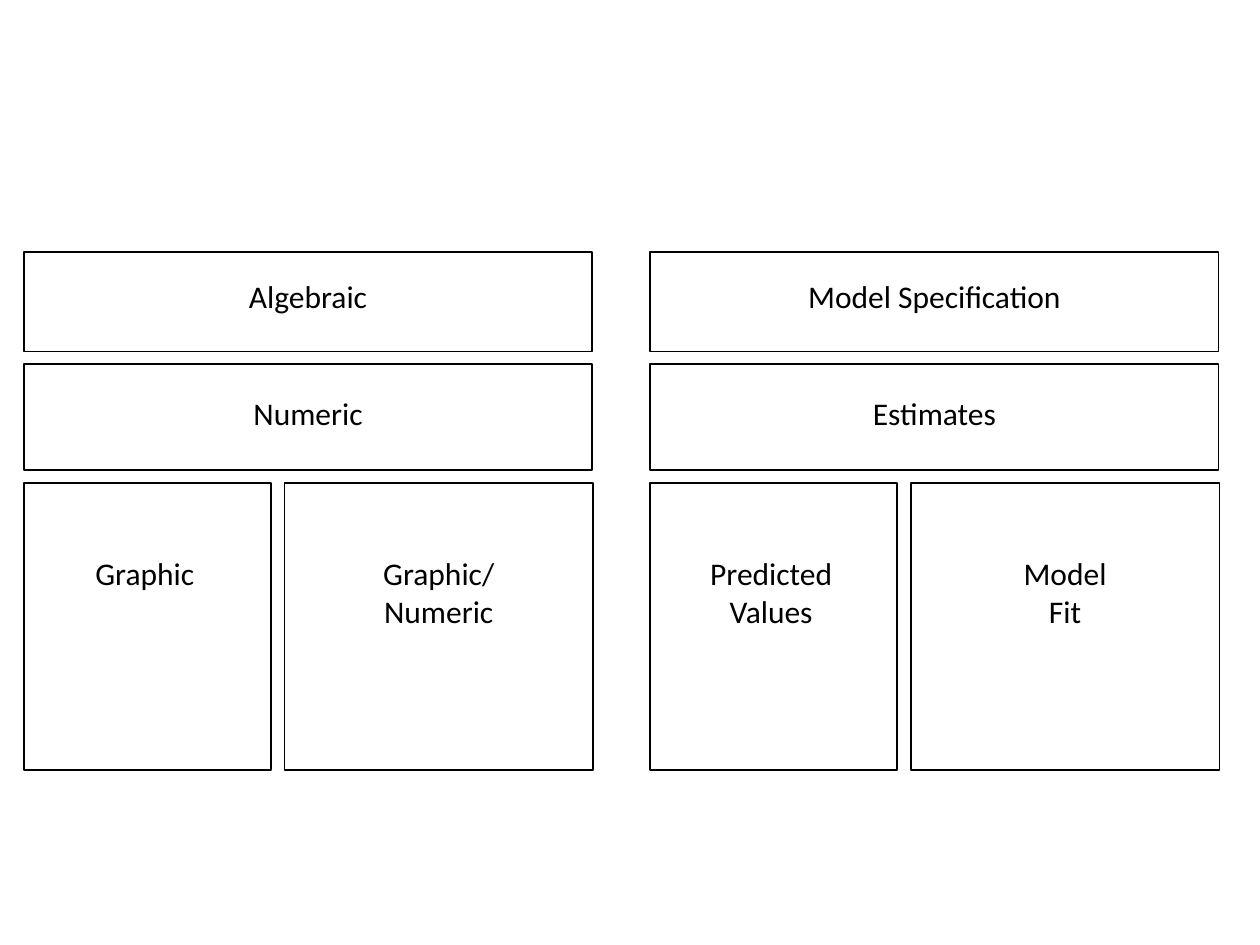
from pptx import Presentation
from pptx import util as u
from pptx.dml.color import RGBColor
from pptx.enum import shapes, text

BLACK = RGBColor(0, 0, 0)
PANEL_LEFTS = (13.7, 371.6)
# left offset, top, width, height, label top, label width
CELLS = (
    (0, 144, 324.7, 56.9, 154.8, 324.7),
    (0, 208.1, 324.7, 60.5, 221.8, 324.7),
    (0, 275.8, 141.1, 164.2, 313.2, 138.2),
    (148.8, 275.8, 176.4, 164.2, 313.2, 176.4),
)
PANELS = (
    ("Algebraic", "Numeric", "Graphic", "Graphic/\nNumeric"),
    ("Model Specification", "Estimates", "Predicted\nValues", "Model\nFit"),
)


class Sketch:
    """Draws outlined boxes and centred labels on one slide in a single style."""

    font = "Calibri"
    size = u.Pt(18)
    line_width = u.Pt(1)

    def __init__(self, slide):
        self.slide = slide

    def box(self, group, left, top, width, height):
        box = group.shapes.add_shape(
            shapes.MSO_SHAPE.RECTANGLE, u.Pt(left), u.Pt(top), u.Pt(width), u.Pt(height))
        box.shadow.inherit = False
        box.fill.background()
        box.line.color.rgb = BLACK
        box.line.width = self.line_width

    def label(self, group, words, left, top, width):
        height = 51.1 if "\n" in words else 28.8
        label = group.shapes.add_textbox(u.Pt(left), u.Pt(top), u.Pt(width), u.Pt(height))
        frame = label.text_frame
        frame.word_wrap = True
        frame.auto_size = text.MSO_AUTO_SIZE.SHAPE_TO_FIT_TEXT
        frame.text = words
        for para in frame.paragraphs:
            para.alignment = text.PP_ALIGN.CENTER
            for span in para.runs:
                span.font.name = self.font
                span.font.size = self.size
                span.font.color.rgb = BLACK

    def panel(self, origin, labels):
        group = self.slide.shapes.add_group_shape()
        for offset, top, width, height, _, _ in CELLS:
            self.box(group, origin + offset, top, width, height)
        for words, (offset, _, _, _, top, width) in zip(labels, CELLS):
            self.label(group, words, origin + offset, top, width)


def main():
    deck = Presentation()
    deck.slide_width, deck.slide_height = u.Pt(720), u.Pt(540)
    sketch = Sketch(deck.slides.add_slide(deck.slide_layouts[6]))
    for left, labels in zip(PANEL_LEFTS, PANELS):
        sketch.panel(left, labels)
    deck.save("out.pptx")


if __name__ == "__main__":
    main()
